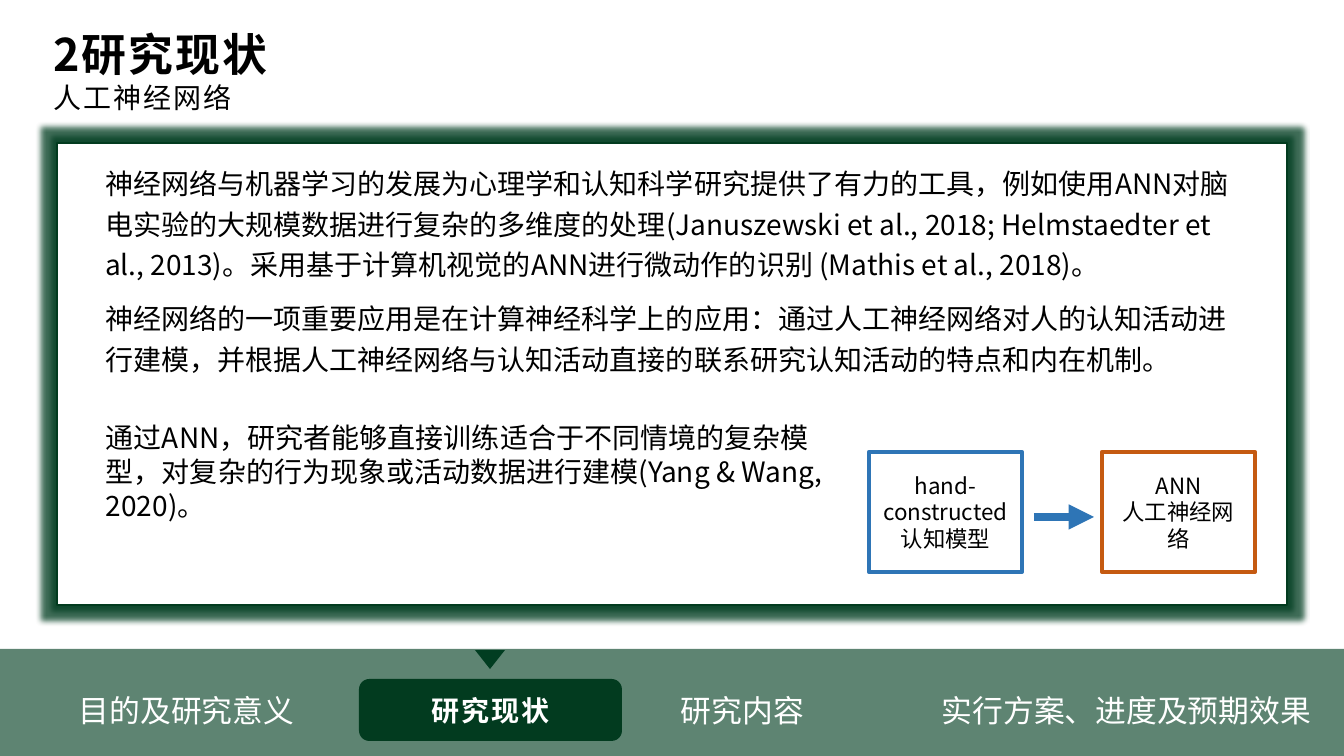
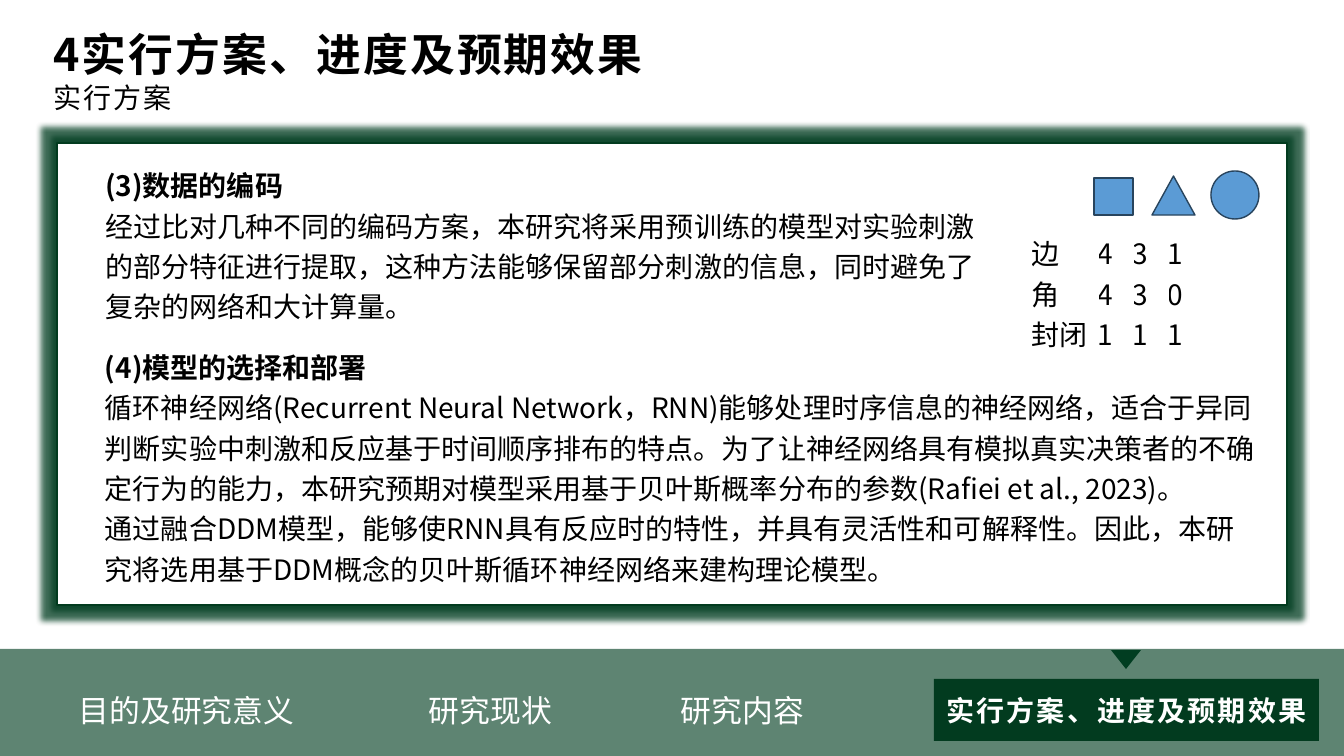
from collections import namedtuple
from pptx import Presentation
from pptx.dml.color import RGBColor
from pptx.enum.shapes import MSO_CONNECTOR, MSO_SHAPE as Preset
from pptx.enum.text import MSO_ANCHOR as Anchor, MSO_AUTO_SIZE as AutoSize, PP_ALIGN as Align
from pptx.oxml.ns import qn
from pptx.util import Pt
from lxml.etree import SubElement

SCALE = 12192000 / 1344
FONT = "Noto Sans CJK SC"
COLORS = {
    "deep": "013D21", "active": "023B1F", "white": "FFFFFF", "black": "000000",
    "blue": "2E75B6", "orange": "C55A11", "icon": "5B9BD5", "icon_edge": "28445D",
}

Box = namedtuple("Box", "x y w h")
SLIDE = Box(0, 0, 1344, 756)
HEADING = Box(43, 22, 1200, 98)
PANEL = Box(57, 143, 1230, 462)
FOOTER = Box(0, 649, 1344, 107)

NavItem = namedtuple("NavItem", "label center width outline")
NAV = [
    NavItem("目的及研究意义", 186, 263, Preset.ROUNDED_RECTANGLE),
    NavItem("研究现状", 490, 263, Preset.ROUNDED_RECTANGLE),
    NavItem("研究内容", 742, 263, Preset.ROUNDED_RECTANGLE),
    NavItem("实行方案、进度及预期效果", 1126, 385, Preset.RECTANGLE),
]

TITLE = {"size": Pt(32), "bold": True}
SUBTITLE = {"size": Pt(20), "bold": False}
BODY = {"size": Pt(20), "bold": False}
SECTION = {"size": Pt(20), "bold": True}
NODE = {"size": Pt(16), "bold": False}
NAV_LABEL = {"size": Pt(22), "bold": False}
NAV_ACTIVE = {"size": Pt(20), "bold": True}
WIDE_LINES = {"line_spacing": 1.2}
PLAIN_TABLE = {"first_row": False, "horz_banding": False}
NO_MARGINS = {"margin_left": 0, "margin_right": 0, "margin_top": 0, "margin_bottom": 0}


def px(length):
    return round(length * SCALE)


def rgb(name):
    return RGBColor.from_string(COLORS[name])


def within(outer, x, y, w, h):
    return Box(outer.x + x, outer.y + y, w, h)


def set_all(target, values):
    for key, value in values.items():
        setattr(target, key, value)


def place(part, box):
    set_all(part, dict(zip(("left", "top", "width", "height"), map(px, box))))


def write_lines(frame, lines, color="black", spacing=0, align=Align.LEFT, gap=0,
                **paragraph_format):
    for index, (text, style) in enumerate(lines):
        paragraph = frame.paragraphs[0] if index == 0 else frame.add_paragraph()
        properties = paragraph._p.get_or_add_pPr()
        properties.set("marL", "0")
        properties.set("indent", "0")
        SubElement(properties, qn("a:buNone"))
        set_all(paragraph, {"alignment": align, "line_spacing": 1.0, "space_after": Pt(0),
                            "space_before": Pt(gap if index else 0), **paragraph_format})
        run = paragraph.add_run()
        run.text = text
        set_all(run.font, {"name": FONT, **style})
        run.font.color.rgb = rgb(color)
        run_properties = run.font._element
        SubElement(run_properties, qn("a:ea"), typeface=FONT)
        if spacing:
            run_properties.set("spc", str(spacing))


def write(part, lines, anchor=Anchor.TOP, wrap=True, **options):
    set_all(part.text_frame, {"auto_size": AutoSize.NONE, "word_wrap": wrap,
                              "vertical_anchor": anchor})
    write_lines(part.text_frame, lines, **options)


def add_preset(shapes, outline, box, fill, line=None, weight=1):
    preset = shapes.add_shape(outline, *map(px, box))
    preset.shadow.inherit = False
    preset.fill.solid()
    preset.fill.fore_color.rgb = rgb(fill)
    if line:
        preset.line.color.rgb = rgb(line)
        preset.line.width = Pt(weight)
    else:
        preset.line.fill.background()
    return preset


def add_text(slide, box, lines, **options):
    passage = slide.shapes.add_textbox(*map(px, box))
    write(passage, lines, **options)


def color_with_alpha(parent, name, percent):
    color = SubElement(parent, qn("a:srgbClr"), val=COLORS[name])
    SubElement(color, qn("a:alpha"), val=str(percent * 1000))


def share_backdrop(layout, slide):
    band = add_preset(slide.shapes, Preset.RECTANGLE, FOOTER, "deep")
    band_fill = band._element.spPr.find(qn("a:solidFill"))
    band_fill.remove(band_fill[0])
    color_with_alpha(band_fill, "deep", 63)
    panel = add_preset(slide.shapes, Preset.RECTANGLE, PANEL, "white", "active")
    effects = panel._element.spPr.find(qn("a:effectLst"))
    glow = SubElement(effects, qn("a:glow"), rad=str(Pt(8)))
    color_with_alpha(glow, "deep", 75)
    for index, part in enumerate((band, panel)):
        part._element.nvSpPr.cNvPr.set("id", str(101 + index))
        layout.shapes._spTree.insert(2 + index, part._element)


def heading(slide, box, title, subtitle):
    place(slide.shapes.title, box)
    write(slide.shapes.title, [(title, TITLE), (subtitle, SUBTITLE)], spacing=150)


def navigation(slide, box, current):
    for item in NAV:
        tab = within(box, item.center - item.width // 2, 30, item.width, 62)
        centered = {"color": "white", "anchor": Anchor.MIDDLE, "align": Align.CENTER}
        if item.label == current:
            marker = add_preset(slide.shapes, Preset.ISOSCELES_TRIANGLE,
                                within(box, item.center - 15, 1, 30, 19), "deep")
            marker.rotation = 180
            button = add_preset(slide.shapes, item.outline, tab, "active")
            write(button, [(item.label, NAV_ACTIVE)], spacing=150, **centered)
        else:
            add_text(slide, tab, [(item.label, NAV_LABEL)], wrap=False, **centered)


def model_diagram(slide, box):
    nodes = [
        (0, "blue", ("hand-constructed", "认知模型")),
        (box.w - 153, "orange", ("ANN", "人工神经网络")),
    ]
    for x, edge, lines in nodes:
        node = add_preset(slide.shapes, Preset.RECTANGLE, within(box, x, 0, 153, box.h),
                          "white", edge, 3)
        write(node, [(line, NODE) for line in lines], anchor=Anchor.MIDDLE, align=Align.CENTER)
    y = px(box.y + 65)
    arrow = slide.shapes.add_connector(MSO_CONNECTOR.STRAIGHT, px(box.x + 165), y,
                                       px(box.x + 225), y)
    arrow.line.color.rgb = rgb("blue")
    arrow.line.width = Pt(6)
    SubElement(arrow.line._get_or_add_ln(), qn("a:tailEnd"), type="triangle")
    SubElement(arrow._element.spPr, qn("a:effectLst"))


def stimulus_icons(slide, box):
    icons = slide.shapes.add_group_shape()
    for outline, *bounds in [
        (Preset.RECTANGLE, 0, 7, 39, 37),
        (Preset.ISOSCELES_TRIANGLE, 58, 5, 43, 39),
        (Preset.OVAL, 117, 0, 48, 48),
    ]:
        add_preset(icons.shapes, outline, within(box, *bounds), "icon", "icon_edge")


def feature_table(slide, box):
    features = [("边", "4", "3", "1"), ("角", "4", "3", "0"), ("封闭", "1", "1", "1")]
    widths = (67, 35, 35, 35)
    codes = slide.shapes.add_table(len(features), len(widths), *map(px, box)).table
    set_all(codes, PLAIN_TABLE)
    for column, width in zip(codes.columns, widths):
        column.width = px(width)
    for row, values in zip(codes.rows, features):
        row.height = px(box.h / len(features))
        for cell, value in zip(row.cells, values):
            set_all(cell, NO_MARGINS)
            cell.fill.background()
            write_lines(cell.text_frame, [(value, BODY)])


def status_slide(slide, box):
    body = slide.placeholders[1]
    place(body, within(box, 38, 12, 1158, 230))
    write(body, [
        ("神经网络与机器学习的发展为心理学和认知科学研究提供了有力的工具，例如使用ANN对脑电实验的大规模数据进行复杂的多维度的处理"
         "(Januszewski et al., 2018; Helmstaedter et al., 2013)。采用基于计算机视觉的ANN进行微动作的识别 "
         "(Mathis et al., 2018)。", BODY),
        ("神经网络的一项重要应用是在计算神经科学上的应用：通过人工神经网络对人的认知活动进行建模，"
         "并根据人工神经网络与认知活动直接的联系研究认知活动的特点和内在机制。", BODY),
    ], gap=10, **WIDE_LINES)
    add_text(slide, within(box, 39, 273, 741, 112), [
        ("通过ANN，研究者能够直接训练适合于不同情境的复杂模型，对复杂的行为现象或活动数据进行建模"
         "(Yang & Wang, 2020)。", BODY),
    ])
    model_diagram(slide, within(box, 812, 309, 386, 120))


def plan_slide(slide, box):
    body = slide.placeholders[1]
    place(body, within(box, 38, 14, 897, 170))
    write(body, [
        ("(3)数据的编码", SECTION),
        ("经过比对几种不同的编码方案，本研究将采用预训练的模型对实验刺激的部分特征进行提取，"
         "这种方法能够保留部分刺激的信息，同时避免了复杂的网络和大计算量。", BODY),
    ], **WIDE_LINES)
    add_text(slide, within(box, 38, 196, 1177, 250), [
        ("(4)模型的选择和部署", SECTION),
        ("循环神经网络(Recurrent Neural Network，RNN)能够处理时序信息的神经网络，"
         "适合于异同判断实验中刺激和反应基于时间顺序排布的特点。为了让神经网络具有模拟真实决策者的不确定行为的能力，"
         "本研究预期对模型采用基于贝叶斯概率分布的参数(Rafiei et al., 2023)。", BODY),
        ("通过融合DDM模型，能够使RNN具有反应时的特性，并具有灵活性和可解释性。"
         "因此，本研究将选用基于DDM概念的贝叶斯循环神经网络来建构理论模型。", BODY),
    ], **WIDE_LINES)
    stimulus_icons(slide, within(box, 1037, 28, 165, 48))
    feature_table(slide, within(box, 974, 89, 172, 102))


def main():
    deck = Presentation()
    deck.slide_width, deck.slide_height = px(SLIDE.w), px(SLIDE.h)
    layout = deck.slide_layouts[1]
    pages = [
        ("2研究现状", "人工神经网络", "研究现状", status_slide),
        ("4实行方案、进度及预期效果", "实行方案", "实行方案、进度及预期效果", plan_slide),
    ]
    for index, (title, subtitle, current, fill_panel) in enumerate(pages):
        slide = deck.slides.add_slide(layout)
        if index == 0:
            share_backdrop(layout, slide)
        heading(slide, HEADING, title, subtitle)
        fill_panel(slide, PANEL)
        navigation(slide, FOOTER, current)
    deck.save("out.pptx")


if __name__ == "__main__":
    main()
